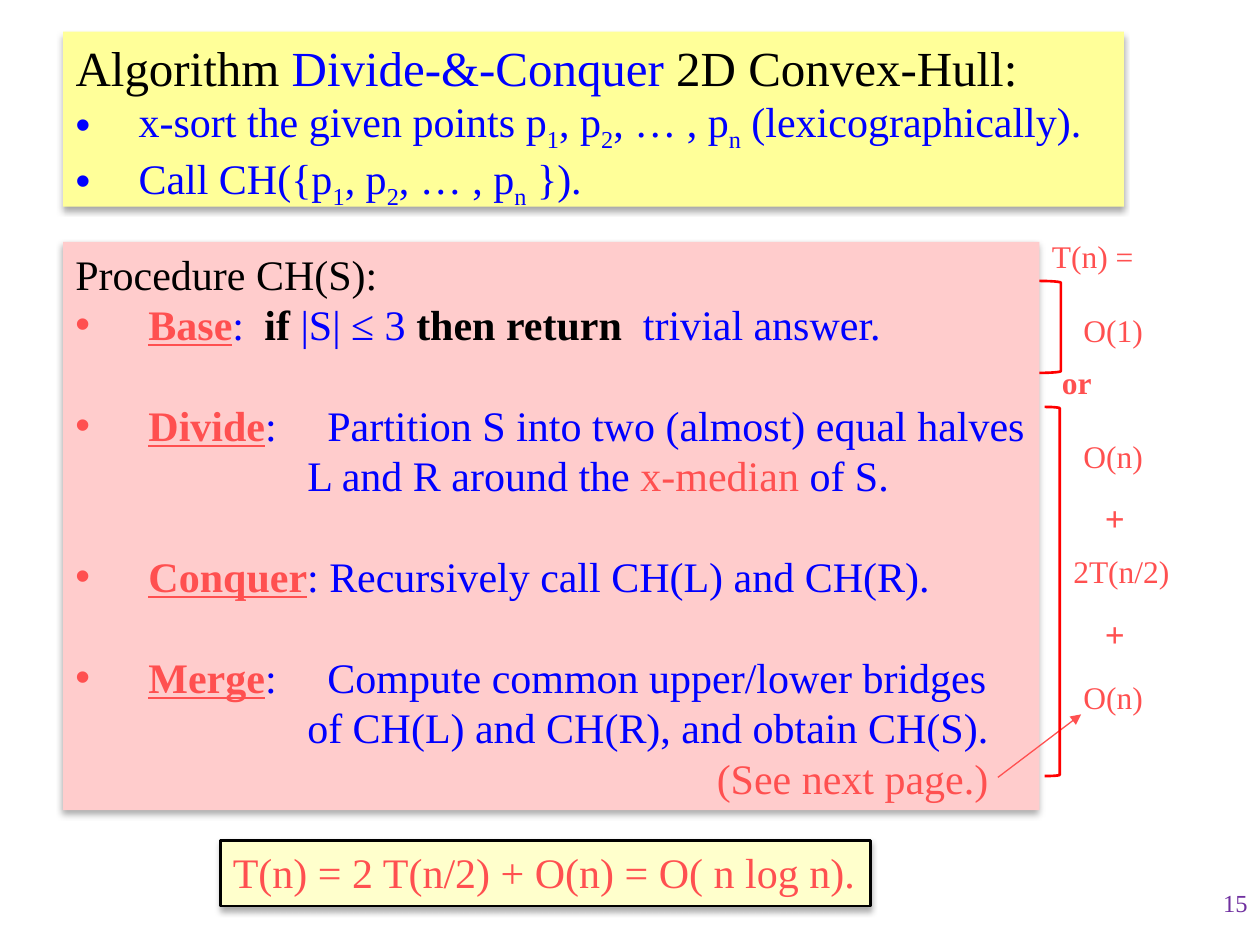
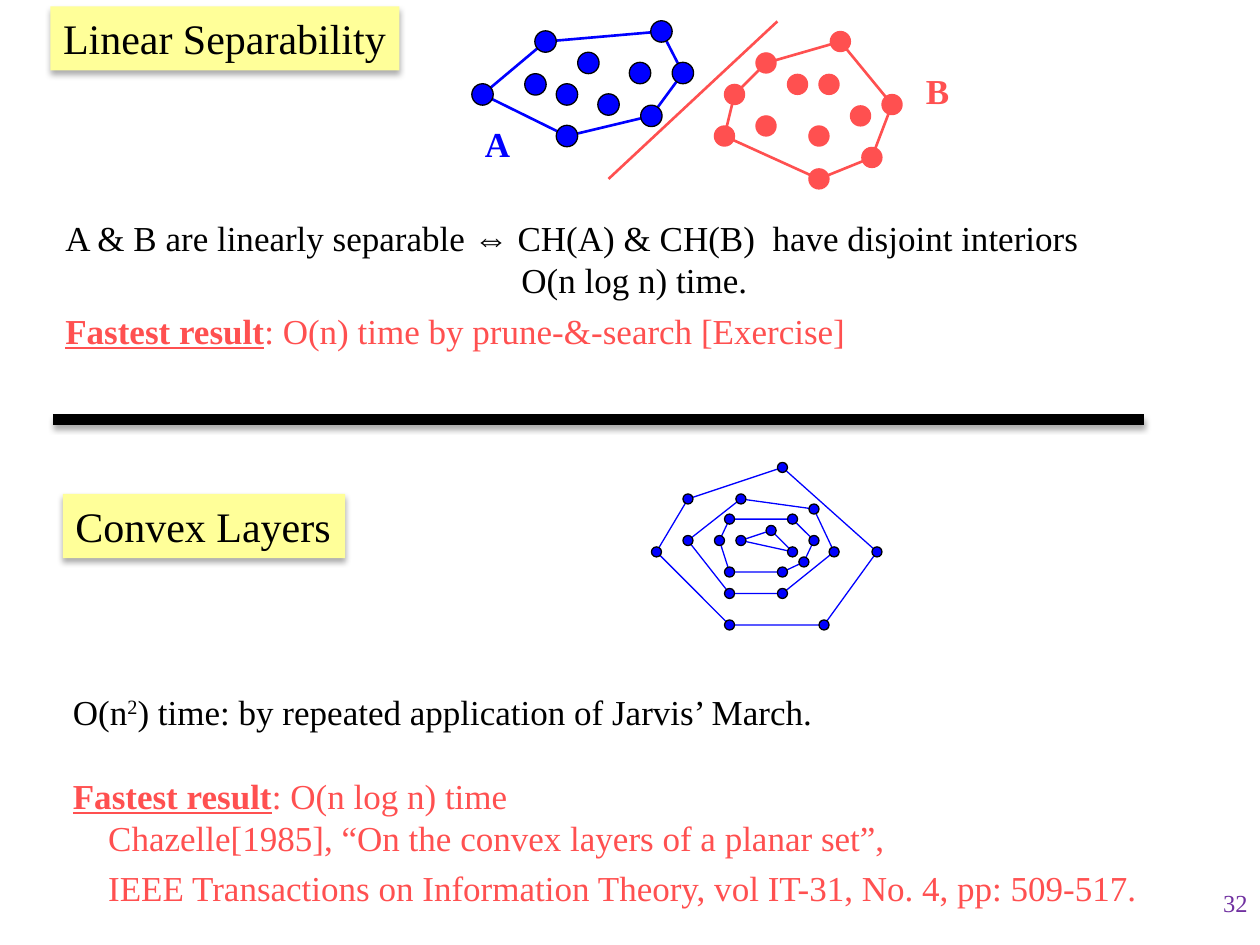
from lxml.etree import SubElement
from pptx import Presentation
from pptx.dml.color import RGBColor
from pptx.enum.shapes import MSO_CONNECTOR, MSO_SHAPE
from pptx.enum.text import MSO_ANCHOR, MSO_AUTO_SIZE, PP_ALIGN
from pptx.oxml.ns import qn
from pptx.util import Inches, Pt

FONT = "Times New Roman"
LEADING = 1.2
COLORS = {
    "black": "000000", "blue": "0000FF", "coral": "FF5050", "red": "FF0000",
    "purple": "7030A0", "yellow": "FFFF99", "cream": "FFFFCC", "pink": "FFCCCC",
}
STYLES = {
    "black": {"color": "black"},
    "blue": {"color": "blue"},
    "coral": {"color": "coral"},
    "number": {"color": "purple"},
    "keyword": {"color": "black", "bold": True},
    "mark": {"color": "coral", "bold": True},
    "set name": {"color": "blue", "bold": True},
    "term": {"color": "coral", "bold": True, "underline": True},
    "sub": {"color": "blue", "baseline": -25000},
    "super": {"color": "black", "baseline": 30000},
}
POINTS = [("1", "sub"), (", p", "blue"), ("2", "sub"), (", … , p", "blue"), ("n", "sub")]

STEP_INDENT = 0.58
DETAIL_INDENT = 1.84

HULL_A = [(3.83, 0.75), (4.33, 0.33), (5.25, 0.25), (5.42, 0.58), (5.17, 0.92), (4.5, 1.08)]
INSIDE_A = [(4.5, 0.75), (5.08, 0.58), (4.83, 0.83), (4.67, 0.5), (4.25, 0.67)]
HULL_B = [(5.75, 1.08), (5.83, 0.75), (6.08, 0.5), (6.67, 0.33), (7.08, 0.83),
          (6.92, 1.25), (6.5, 1.42)]
INSIDE_B = [(6.08, 1), (6.33, 0.67), (6.5, 1.08), (6.83, 0.92), (6.58, 0.67)]
LAYERS = [
    [(5.21, 4.38), (5.46, 3.96), (6.21, 3.71), (6.96, 4.38), (6.54, 4.96), (5.79, 4.96)],
    [(5.46, 4.29), (5.88, 3.96), (6.46, 4.04), (6.62, 4.38), (6.21, 4.71), (5.79, 4.71)],
    [(5.71, 4.29), (5.79, 4.12), (6.29, 4.12), (6.46, 4.29), (6.38, 4.46), (6.21, 4.54),
     (5.79, 4.54)],
    [(5.88, 4.29), (6.12, 4.21), (6.29, 4.38)],
]


def rgb(name):
    return RGBColor.from_string(COLORS[name])


def paint(shape, fill=None, line=None, weight=0.75):
    if fill:
        shape.fill.solid()
        shape.fill.fore_color.rgb = rgb(fill)
    else:
        shape.fill.background()
    if line:
        shape.line.color.rgb = rgb(line)
        shape.line.width = Pt(weight)
    else:
        shape.line.fill.background()
    shape.shadow.inherit = False


def add_soft_shadow(effects):
    shadow = SubElement(effects, qn("a:outerShdw"), blurRad=str(Pt(3.5)),
                        dist=str(Pt(2.2)), dir="5400000", rotWithShape="0")
    black = SubElement(shadow, qn("a:srgbClr"), val=COLORS["black"])
    SubElement(black, qn("a:alpha"), val="32000")


def para(runs, size, left=0, bullet=False, before=0, line=None, tab=None,
         align=PP_ALIGN.LEFT):
    """Describe a paragraph; line is the line height in points."""
    return {"runs": runs, "size": size, "left": left, "bullet": bullet, "before": before,
            "line": line or size * LEADING, "tab": tab, "align": align}


def add_run(paragraph, text, style, size):
    run = paragraph.add_run()
    run.text = text
    run.font.name, run.font.size = FONT, Pt(size)
    for key, value in STYLES[style].items():
        if key == "color":
            run.font.color.rgb = rgb(value)
        elif key == "baseline":
            run.font._element.set("baseline", str(value))
        else:
            setattr(run.font, key, value)


def write(shape, paragraphs, wrap=True):
    frame = shape.text_frame
    settings = {"word_wrap": wrap, "auto_size": MSO_AUTO_SIZE.NONE,
                "vertical_anchor": MSO_ANCHOR.TOP}
    for key, value in settings.items():
        setattr(frame, key, value)
    for index, spec_of in enumerate(paragraphs):
        paragraph = frame.add_paragraph() if index else frame.paragraphs[0]
        props = paragraph._p.get_or_add_pPr()
        props.set("marL", str(Inches(spec_of["left"])))
        props.set("indent", str(Inches(-spec_of["left"]) if spec_of["bullet"] else 0))
        if spec_of["bullet"]:
            SubElement(props, qn("a:buFont"), typeface="Arial")
            SubElement(props, qn("a:buChar"), char="•")
        if spec_of["tab"]:
            tabs = SubElement(props, qn("a:tabLst"))
            SubElement(tabs, qn("a:tab"), pos=str(Inches(spec_of["tab"])), algn="l")
        paragraph.alignment = spec_of["align"]
        paragraph.line_spacing = Pt(spec_of["line"])
        paragraph.space_before = Pt(spec_of["before"])
        for text, style in spec_of["runs"]:
            add_run(paragraph, text, style, spec_of["size"])


def add_panel(slide, box, fill, paragraphs, line=None, wrap=True):
    panel = slide.shapes.add_shape(MSO_SHAPE.RECTANGLE, *map(Inches, box))
    paint(panel, fill, line, 1.5)
    add_soft_shadow(panel._element.spPr.find(qn("a:effectLst")))
    write(panel, paragraphs, wrap)


def set_title(slide, box, paragraphs, wrap=True):
    title = slide.shapes.title
    title.left, title.top, title.width, title.height = map(Inches, box)
    paint(title, "yellow")
    add_soft_shadow(title._element.spPr.find(qn("a:effectLst")))
    write(title, paragraphs, wrap)


def add_text(slide, box, paragraphs, wrap=True):
    write(slide.shapes.add_textbox(*map(Inches, box)), paragraphs, wrap)


def add_label(slide, box, text, style="coral", size=18):
    add_text(slide, box, [para([(text, style)], size)], wrap=False)


def add_slide_number(slide, number):
    add_text(slide, (7.92, 7, 2.08, 0.5),
             [para([(number, "number")], 14, align=PP_ALIGN.RIGHT)])


def add_line(slide, start, end, color, weight, arrow=False, shadow=False):
    line = slide.shapes.add_connector(MSO_CONNECTOR.STRAIGHT,
                                      *map(Inches, (*start, *end)))
    line.line.color.rgb = rgb(color)
    line.line.width = Pt(weight)
    if arrow:
        SubElement(line.line._get_or_add_ln(), qn("a:tailEnd"), type="triangle")
    effects = SubElement(line._element.spPr, qn("a:effectLst"))
    if shadow:
        add_soft_shadow(effects)


def add_bracket(slide, box):
    bracket = slide.shapes.add_shape(MSO_SHAPE.RIGHT_BRACKET, *map(Inches, box))
    paint(bracket, line="red", weight=1.5)


def add_hull(slide, vertices, color, weight):
    corners = [(Inches(x), Inches(y)) for x, y in vertices]
    builder = slide.shapes.build_freeform(*corners[0])
    builder.add_line_segments(corners[1:], close=True)
    paint(builder.convert_to_shape(), line=color, weight=weight)


def add_dots(slide, centers, size, color, outline=None):
    for x, y in centers:
        dot = slide.shapes.add_shape(MSO_SHAPE.OVAL, Inches(x - size / 2),
                                     Inches(y - size / 2), Inches(size), Inches(size))
        paint(dot, color, outline)


def step(name, runs, text_at=None, before=24 * LEADING):
    """A bulleted step whose text starts at text_at, or follows its name directly."""
    gap = "\t" if text_at else " "
    return para([(name, "term"), (":" + gap, "blue"), *runs], 24, STEP_INDENT, True,
                before, tab=text_at and text_at - STEP_INDENT)


def detail(runs, left=DETAIL_INDENT):
    return para(runs, 24, left)


def build_divide_and_conquer(slide):
    index_line = 32.4
    set_title(slide, (0.5, 0.25, 8.42, 1.39), [
        para([("Algorithm ", "black"), ("Divide-&-Conquer", "blue"),
              (" 2D Convex-Hull:", "black")], 28),
        para([("x-sort the given points p", "blue"), *POINTS,
              (" (lexicographically).", "blue")], 24, 0.5, True, line=index_line),
        para([("Call CH({p", "blue"), *POINTS, (" }).", "blue")], 24, 0.5, True,
             line=index_line),
    ])
    add_panel(slide, (1.75, 6.67, 5.16, 0.52), "cream",
              [para([("T(n) = 2 T(n/2) + O(n) = O( n log n).", "coral")], 24)],
              line="black", wrap=False)
    add_panel(slide, (0.5, 1.92, 7.75, 4.51), "pink", [
        para([("Procedure CH(S):", "black")], 24),
        step("Base", [("if", "keyword"), (" |S| ≤ 3 ", "blue"), ("then return", "keyword"),
                      ("  trivial answer.", "blue")], 1.76, before=0),
        step("Divide", [("Partition S into two (almost) equal halves", "blue")], 1.85),
        detail([("L and R around the ", "blue"), ("x-median", "coral"), (" of S.", "blue")]),
        step("Conquer", [("Recursively call CH(L) and CH(R).", "blue")]),
        step("Merge", [("Compute common upper/lower bridges", "blue")], 1.85),
        detail([("of CH(L) and CH(R), and obtain CH(S).", "blue")]),
        detail([("(See next page.)", "coral")], 5.09),
    ])

    for top, cost in [(2.42, "O(1)"), (3.42, "O(n)"), (5.33, "O(n)")]:
        add_label(slide, (8.5, top, 0.67, 0.4), cost)
    add_label(slide, (8.42, 4.33, 0.97, 0.4), "2T(n/2)")
    add_label(slide, (8.25, 1.83, 0.85, 0.4), "T(n) =")
    add_label(slide, (8.33, 2.83, 0.44, 0.4), "or", "mark")
    for top in (3.89, 4.81):
        add_label(slide, (8.67, top, 0.36, 0.43), "+", "mark", 20)
    add_line(slide, (7.92, 6.17), (8.58, 5.67), "coral", 0.75, arrow=True)
    add_bracket(slide, (8.25, 2.23, 0.17, 0.73))
    add_bracket(slide, (8.29, 3.23, 0.12, 2.93))
    add_slide_number(slide, "15")


def build_separability_and_layers(slide):
    set_title(slide, (0.4, 0.05, 2.77, 0.51),
              [para([("Linear Separability", "black")], 24)], wrap=False)
    add_text(slide, (0.42, 1.67, 8.6, 1.57), [
        para([("A & B are linearly separable ⇔ CH(A) & CH(B)  have disjoint interiors",
               "black")], 20),
        para([("O(n log n) time.", "black")], 20, 3.62),
        para([("Fastest result", "term"),
              (": O(n) time by prune-&-search [Exercise]", "coral")], 20, line=28.8),
    ])
    add_line(slide, (4.83, 1.42), (6.17, 0.17), "coral", 1.5)
    add_hull(slide, HULL_A, "blue", 1.5)
    add_hull(slide, HULL_B, "coral", 1.5)
    add_dots(slide, HULL_A + INSIDE_A, 0.17, "blue", "black")
    add_dots(slide, HULL_B + INSIDE_B, 0.17, "coral")
    add_label(slide, (3.75, 0.92, 0.4, 0.43), "A", "set name", 20)
    add_label(slide, (7.25, 0.5, 0.39, 0.43), "B", "mark", 20)

    add_line(slide, (0.42, 3.33), (9.08, 3.33), "black", 6, shadow=True)

    add_panel(slide, (0.5, 3.92, 2.24, 0.51), "yellow",
              [para([("Convex Layers", "black")], 24)], wrap=False)
    for layer in LAYERS:
        add_hull(slide, layer, "blue", 0.75)
        add_dots(slide, layer, 0.08, "blue", "black")
    add_text(slide, (0.48, 5.43, 8.85, 1.83), [
        para([("O(n", "black"), ("2", "super"),
              (") time: by repeated application of Jarvis’ March.", "black")], 20),
        para([("Fastest result", "term"), (": O(n log n) time", "coral")], 20,
             before=20 * LEADING),
        para([("Chazelle[1985], “On the convex layers of a planar set”,", "coral")],
             20, 0.28),
        para([("IEEE Transactions on Information Theory, vol IT-31, No. 4, pp: 509-517.",
               "coral")], 20, 0.28, line=28.8),
    ])
    add_slide_number(slide, "32")


def main():
    deck = Presentation()
    deck.slide_width, deck.slide_height = Inches(10), Inches(7.5)
    title_only = deck.slide_layouts[5]
    for build in (build_divide_and_conquer, build_separability_and_layers):
        build(deck.slides.add_slide(title_only))
    deck.save("out.pptx")


if __name__ == "__main__":
    main()
